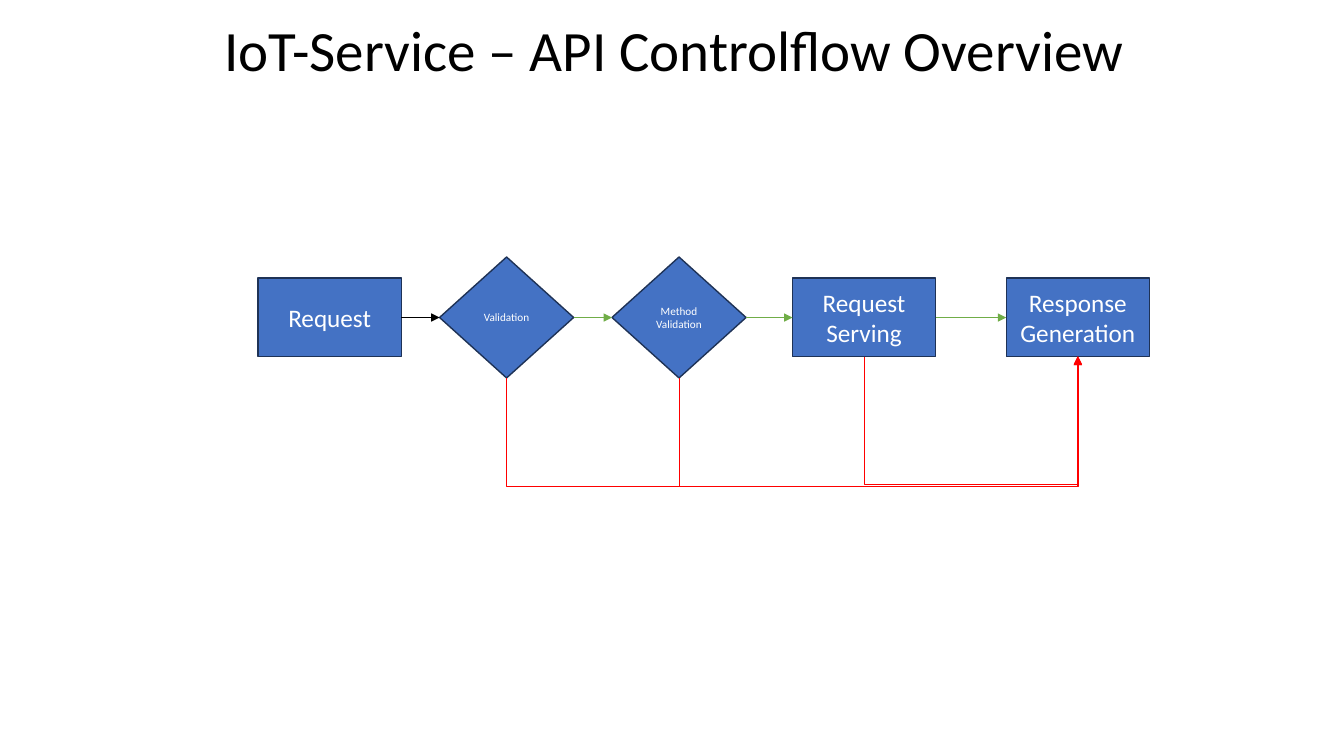
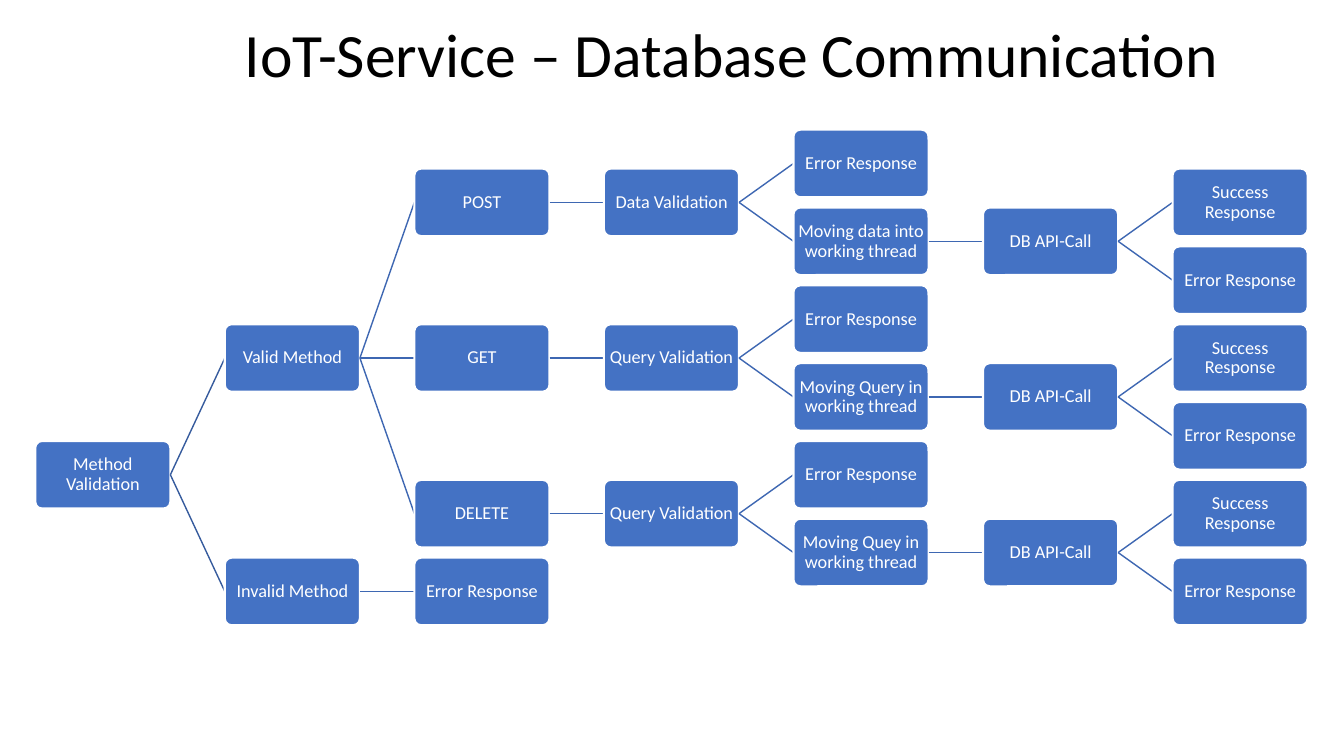
from pptx import Presentation
from pptx.dml.color import RGBColor
from pptx.enum import shapes, text
from pptx.oxml import parse_xml
from pptx.oxml.ns import nsdecls
from pptx.util import Inches, Pt

BLUE = RGBColor(0x44, 0x72, 0xC4)
NAVY = RGBColor(0x1E, 0x32, 0x56)
STEEL = RGBColor(0x3E, 0x67, 0xB2)
DUSK = RGBColor(0x36, 0x5B, 0x9D)
GREEN = RGBColor(0x70, 0xAD, 0x47)
RED = RGBColor(0xFF, 0, 0)
BLACK = RGBColor(0, 0, 0)
WHITE = RGBColor(0xFF, 0xFF, 0xFF)
FONT = "Calibri"
KIND = shapes.MSO_SHAPE
WIRE = shapes.MSO_CONNECTOR


# Shared parts
def write(frame, words, size, color, align, pad, space=1.0):
    frame.word_wrap = True
    frame.vertical_anchor = text.MSO_ANCHOR.MIDDLE
    frame.margin_left = frame.margin_right = Inches(pad)
    frame.margin_top = frame.margin_bottom = Inches(min(pad, 0.05))
    frame.text = words
    for par in frame.paragraphs:
        par.alignment = align
        par.line_spacing = space
        par.font.name = FONT
        par.font.size = Pt(size)
        par.font.color.rgb = color


def title(slide, words, left, top, width, size):
    box = slide.shapes.add_textbox(
        Inches(left), Inches(top), Inches(width), Inches(0.96))
    write(box.text_frame, words, size, BLACK, text.PP_ALIGN.LEFT, 0.1, 0.9)


def block(slide, kind, box, words, size, edge, weight, pad, space=1.0):
    item = slide.shapes.add_shape(kind, *[Inches(v) for v in box])
    item.shadow.inherit = False
    item.fill.solid()
    item.fill.fore_color.rgb = BLUE
    item.line.color.rgb = edge
    item.line.width = Pt(weight)
    write(item.text_frame, words, size, WHITE, text.PP_ALIGN.CENTER, pad, space)
    return item


def wire(slide, start, end, color, weight, kind=WIRE.STRAIGHT, arrow=False):
    link = slide.shapes.add_connector(
        kind, *[Inches(v) for v in (*start, *end)])
    link.line.color.rgb = color
    link.line.width = Pt(weight)
    if arrow:
        link.line._get_or_add_ln().append(
            parse_xml(f'<a:tailEnd {nsdecls("a")} type="triangle"/>'))
    link._element.spPr.append(parse_xml(f'<a:effectLst {nsdecls("a")}/>'))
    return link


# Control flow: a row of steps, with error paths below
STEPS = [
    ("Request", 2.56, False),
    ("Validation", 4.36, True),
    ("Method Validation", 6.07, True),
    ("Request\nServing", 7.86, False),
    ("Response Generation", 9.98, False),
]


def detour(slide, first, last, start, end, low):
    """Elbow from the foot of one step, down to low, up to the last one."""
    link = wire(slide, start, end, RED, 0.5, WIRE.ELBOW, True)
    link.begin_connect(first, 2)
    link.end_connect(last, 2)
    # The frame is turned a quarter, so rise and run change places
    rise, run = max(start[1] - end[1], 0.01), end[0] - start[0]
    link.left = Inches((start[0] + end[0] - rise) / 2)
    link.top = Inches(start[1] - rise / 2 - run / 2)
    link.width, link.height = Inches(rise), Inches(run)
    form = link._element.spPr
    for key, value in (("rot", "5400000"), ("flipH", "1"), ("flipV", "1")):
        form.xfrm.set(key, value)
    bend = round(-(low - start[1]) / rise * 100000)
    guides = form.prstGeom.get_or_add_avLst()
    guides.append(parse_xml(
        f'<a:gd {nsdecls("a")} name="adj1" fmla="val {bend}"/>'))


def flow(slide, mid, low):
    made = []
    for words, left, gate in STEPS:
        wide, high = (1.33, 1.2) if gate else (1.42, 0.78)
        kind = KIND.DIAMOND if gate else KIND.RECTANGLE
        item = block(slide, kind, (left, mid - high / 2, wide, high), words,
                     8 if gate else 18, NAVY, 1, 0.05 if gate else 0.1)
        if made:
            tail = made[-1]
            wire(slide, (tail[1] + tail[2], mid), (left, mid),
                 GREEN if len(made) > 1 else BLACK, 0.5, arrow=True)
        made.append((item, left, wide, high))
    last, left, wide, high = made[-1]
    end = (left + wide / 2, mid + high / 2)
    for item, left, wide, high in made[1:-1]:
        detour(slide, item, last, (left + wide / 2, mid + high / 2), end, low)


# Decision tree: (words, rows between children, children)
def leaf(words):
    return words, 0, []


def method(name, check, move):
    call = ("DB API-Call", 2, [leaf("Success Response"), leaf("Error Response")])
    work = (move, 0, [call])
    return name, 0, [(check, 2, [leaf("Error Response"), work])]


TREE = ("Method Validation", 6, [
    ("Valid Method", 4, [
        method("POST", "Data Validation", "Moving data into working thread"),
        method("GET", "Query Validation", "Moving Query in working thread"),
        method("DELETE", "Query Validation", "Moving Quey in working thread"),
    ]),
    ("Invalid Method", 0, [leaf("Error Response")]),
])
WIDE, HIGH, GAP, ROW = 1.34, 0.67, 0.54, 0.386


def branch(slide, node, left, mid, depth=0):
    words, step, kids = node
    item = block(slide, KIND.ROUNDED_RECTANGLE,
                 (left, mid - HIGH / 2, WIDE, HIGH),
                 words, 13, WHITE, 1.5, 0.01, 0.9)
    item.adjustments[0] = 0.1
    side = left + WIDE
    for rank, kid in enumerate(kids):
        level = mid + (rank - (len(kids) - 1) / 2) * step * ROW
        wire(slide, (side, mid), (side + GAP, level),
             STEEL if depth else DUSK, 1)
        branch(slide, kid, side + GAP, level, depth + 1)


def main():
    deck = Presentation()
    deck.slide_width, deck.slide_height = Inches(13.33), Inches(7.5)
    blank = deck.slide_layouts[6]

    slide = deck.slides.add_slide(blank)
    title(slide, "IoT-Service – API Controlflow Overview", 2.13, 0.05, 9.16, 40.7)
    flow(slide, 3.15, 4.83)

    slide = deck.slides.add_slide(blank)
    title(slide, "IoT-Service – Database Communication", 2.33, 0.09, 9.89, 44)
    branch(slide, TREE, 0.35, 4.71)

    deck.save("out.pptx")


if __name__ == "__main__":
    main()
